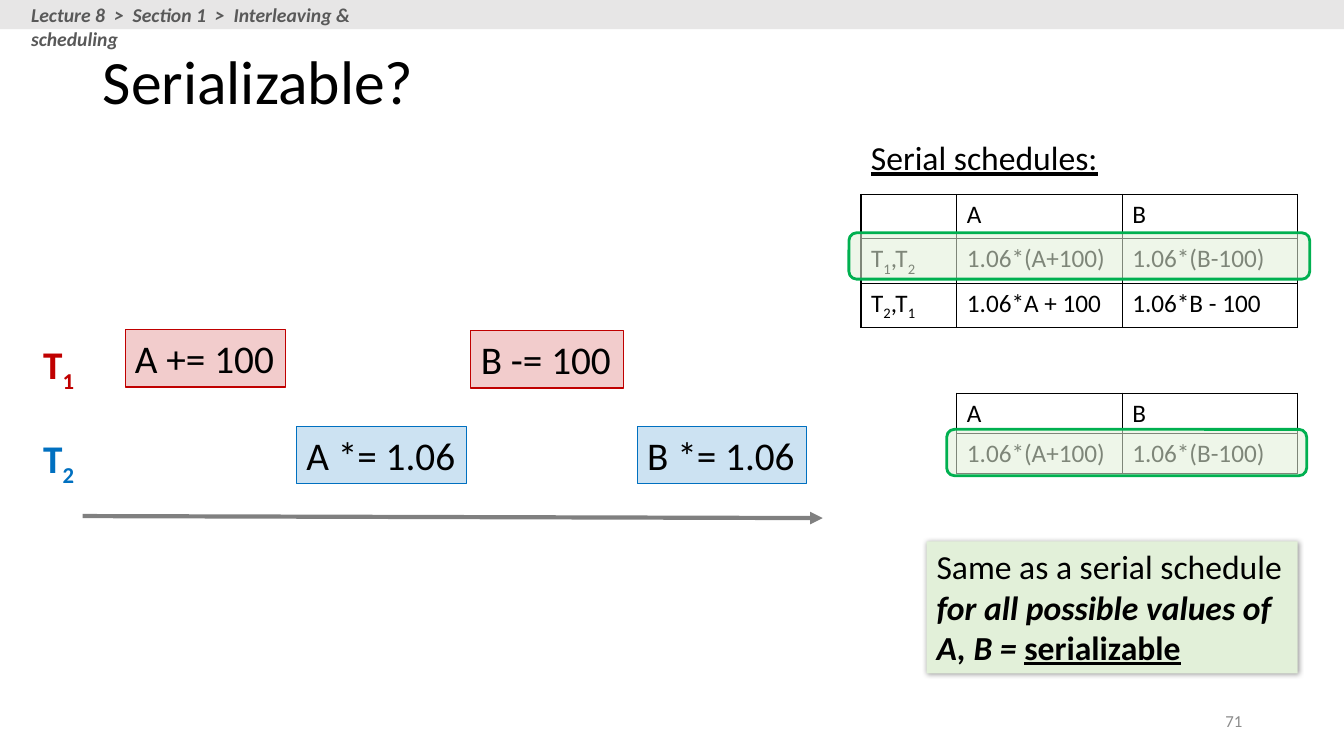
from lxml import etree
from pptx import Presentation
from pptx.dml.color import RGBColor
from pptx.enum.shapes import MSO_CONNECTOR, MSO_SHAPE
from pptx.enum.text import MSO_ANCHOR, PP_ALIGN
from pptx.oxml.ns import qn
from pptx.util import Inches, Pt

RECT, ROUND = MSO_SHAPE.RECTANGLE, MSO_SHAPE.ROUNDED_RECTANGLE
LINE = MSO_CONNECTOR.STRAIGHT
TOP, MIDDLE = MSO_ANCHOR.TOP, MSO_ANCHOR.MIDDLE
LEFT, RIGHT = PP_ALIGN.LEFT, PP_ALIGN.RIGHT
BLACK = RGBColor(0x00, 0x00, 0x00)
WHITE = RGBColor(0xFF, 0xFF, 0xFF)
RED = RGBColor(0xC0, 0x00, 0x00)
BLUE = RGBColor(0x00, 0x70, 0xC0)
GREEN = RGBColor(0x00, 0xB0, 0x50)
PALE = RGBColor(0xE2, 0xF0, 0xD9)
BAND = RGBColor(0xE7, 0xE6, 0xE6)
DARK = RGBColor(0x59, 0x59, 0x59)
GREY = RGBColor(0x80, 0x80, 0x80)
LIGHT = RGBColor(0x8C, 0x8C, 0x8C)


class Deck:
    """Holds the font and the slide, and draws each kind of element."""

    def __init__(self, font):
        self.font = font
        self.show = Presentation()
        self.show.slide_width, self.show.slide_height = Inches(13.33), Inches(7.5)
        self.slide = self.show.slides.add_slide(self.show.slide_layouts[5])
        self.slide.background.fill.solid()
        self.slide.background.fill.fore_color.rgb = WHITE

    def add_runs(self, frame, runs, size, color=BLACK, align=LEFT):
        para = frame.paragraphs[0]
        para.alignment = align
        for text, marks in runs:
            run = para.add_run()
            run.text = text
            font = run.font
            font.name, font.size, font.color.rgb = self.font, Pt(size), color
            font.bold, font.italic = "b" in marks, "i" in marks
            font.underline = "u" in marks
            if "s" in marks:
                run._r.get_or_add_rPr().set("baseline", "-25000")
        return para

    def title(self, box, text):
        shape = self.slide.shapes.title
        shape.left, shape.top, shape.width, shape.height = map(Inches, box)
        shape.text_frame.vertical_anchor = MIDDLE
        self.add_runs(shape.text_frame, [(text, "")], 44).line_spacing = 0.9

    def text(self, box, runs, size, color=BLACK, wrap=False, align=LEFT, anchor=TOP):
        frame = self.slide.shapes.add_textbox(*map(Inches, box)).text_frame
        frame.word_wrap, frame.vertical_anchor = wrap, anchor
        self.add_runs(frame, runs, size, color, align)

    def shape(self, kind, box, fill, alpha=100, edge=None, width=0.75):
        shape = self.slide.shapes.add_shape(kind, *map(Inches, box))
        shape.shadow.inherit = False
        shape.fill.solid()
        shape.fill.fore_color.rgb = fill
        if alpha < 100:
            tint = shape._element.spPr.find(qn("a:solidFill")).find(qn("a:srgbClr"))
            etree.SubElement(tint, qn("a:alpha"), val=str(alpha * 1000))
        if edge is None:
            shape.line.fill.background()
        else:
            shape.line.color.rgb, shape.line.width = edge, Pt(width)
        return shape

    def label(self, shape, runs, size, wrap=False):
        frame = shape.text_frame
        frame.word_wrap, frame.vertical_anchor = wrap, TOP
        self.add_runs(frame, runs, size)

    def shade(self, shape):
        glow = shape._element.spPr.find(qn("a:effectLst"))
        outer = etree.SubElement(glow, qn("a:outerShdw"), blurRad=str(Pt(4)),
                                 dist=str(Pt(1)), dir="2700000", algn="tl")
        tint = etree.SubElement(outer, qn("a:srgbClr"), val=str(BLACK))
        etree.SubElement(tint, qn("a:alpha"), val="40000")

    def arrow(self, ends, color, width):
        link = self.slide.shapes.add_connector(LINE, *map(Inches, ends))
        link.line.color.rgb, link.line.width = color, Pt(width)
        props = link._element.spPr
        etree.SubElement(props.find(qn("a:ln")), qn("a:tailEnd"), type="triangle")
        etree.SubElement(props, qn("a:effectLst"))

    def border(self, cell):
        props = cell._tc.get_or_add_tcPr()
        for spot, side in enumerate(("a:lnL", "a:lnR", "a:lnT", "a:lnB")):
            edge = etree.Element(qn(side), w=str(Pt(1)))
            fill = etree.SubElement(edge, qn("a:solidFill"))
            etree.SubElement(fill, qn("a:srgbClr"), val=str(BLACK))
            props.insert(spot, edge)

    def table(self, left, top, cols, high, rows):
        box = left, top, sum(cols), high * len(rows)
        grid = self.slide.shapes.add_table(len(rows), len(cols), *map(Inches, box)).table
        grid.first_row = grid.horz_banding = False
        for col, wide in zip(grid.columns, cols):
            col.width = Inches(wide)
        for y, row in enumerate(rows):
            for x, runs in enumerate(row):
                cell = grid.cell(y, x)
                cell.fill.background()
                self.border(cell)
                self.add_runs(cell.text_frame, runs, 18)


def plain(*texts):
    return [[(text, "")] for text in texts]


def pair(one, two):
    return [("T", ""), (one, "s"), (",T", ""), (two, "s")]


def main():
    deck = Deck("Calibri")
    deck.title((0.92, 0.11, 11.5, 1.45), "Serializable?")
    deck.text((9.42, 6.95, 3, 0.4), [("71", "")], 12, LIGHT, True, RIGHT, MIDDLE)
    deck.shape(RECT, (0, 0, 13.33, 0.29), BAND)
    crumb = "Lecture 8  >  Section 1  >  Interleaving & scheduling"
    deck.text((0.21, -0.02, 4.18, 0.34), [(crumb, "bi")], 14, DARK, True)

    deck.arrow((0.82, 5.12, 8.16, 5.14), GREY, 3)
    for num, top, color in (("1", 3.33, RED), ("2", 4.26, BLUE)):
        deck.text((0.33, top, 0.52, 0.57), [("T", "b"), (num, "bs")], 28, color)
    steps = (
        ("A += 100", 1.24, 3.27, 1.59, RED),
        ("B -= 100", 4.67, 3.28, 1.51, RED),
        ("A *= 1.06", 2.94, 4.23, 1.69, BLUE),
        ("B *= 1.06", 6.32, 4.23, 1.68, BLUE),
    )
    for text, left, top, wide, color in steps:
        step = deck.shape(RECT, (left, top, wide, 0.57), color, 20, color)
        deck.label(step, [(text, "")], 28)

    note = deck.shape(RECT, (9.19, 5.37, 3.68, 1.31), PALE)
    deck.shade(note)
    deck.label(note, [("Same as a serial schedule ", ""),
                      ("for all possible values of A, B = ", "bi"),
                      ("serializable", "bu")], 24, True)

    deck.text((8.54, 1.31, 2.47, 0.5), [("Serial schedules:", "u")], 24)
    head = plain("A", "B")
    first = plain("1.06*(A+100)", "1.06*(B-100)")
    last = plain("1.06*A + 100", "1.06*B - 100")
    cols = [1.64, 1.74]
    deck.table(8.54, 1.93, [0.95] + cols, 0.44,
               [[[]] + head, [pair("1", "2")] + first, [pair("2", "1")] + last])
    deck.table(9.49, 3.9, cols, 0.4, [head, first])
    for box in ((8.42, 2.31, 4.57, 0.46), (9.39, 4.26, 3.57, 0.46)):
        deck.shape(ROUND, box, PALE, 56, GREEN, 2)
    deck.show.save("out.pptx")


if __name__ == "__main__":
    main()
